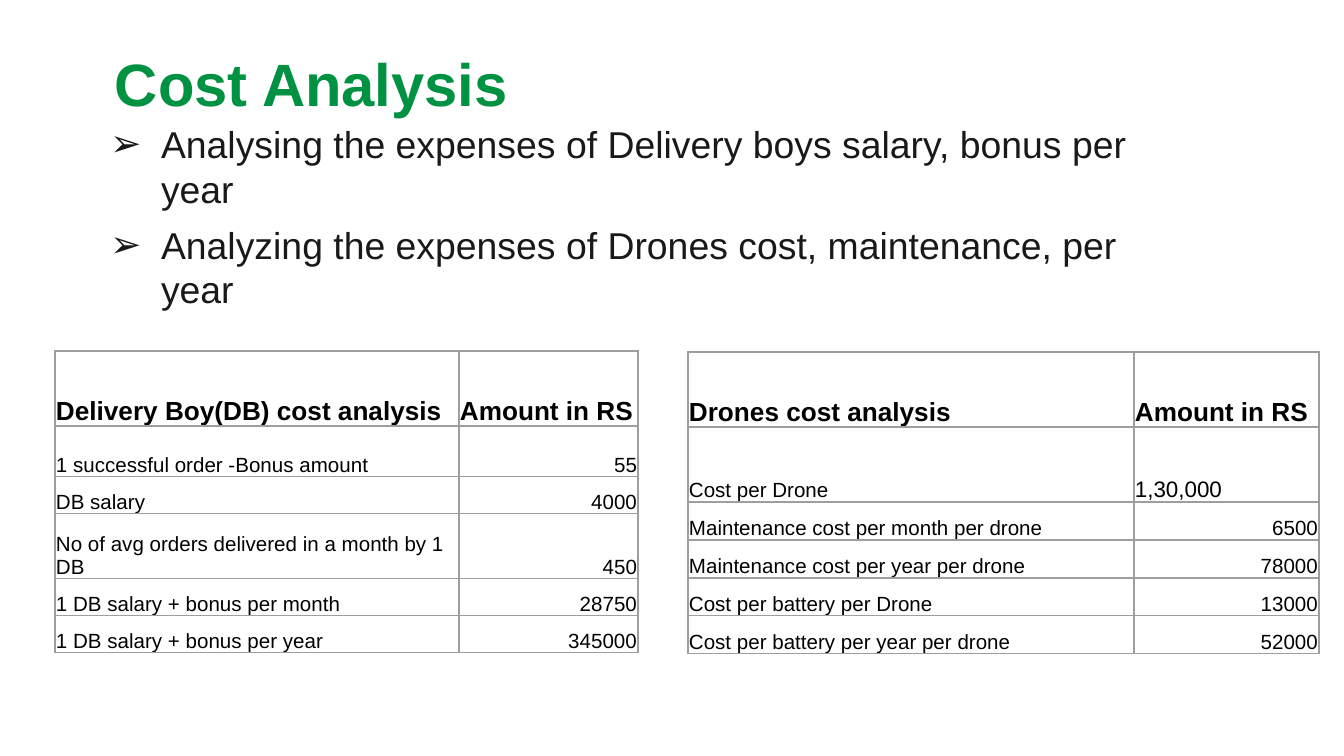
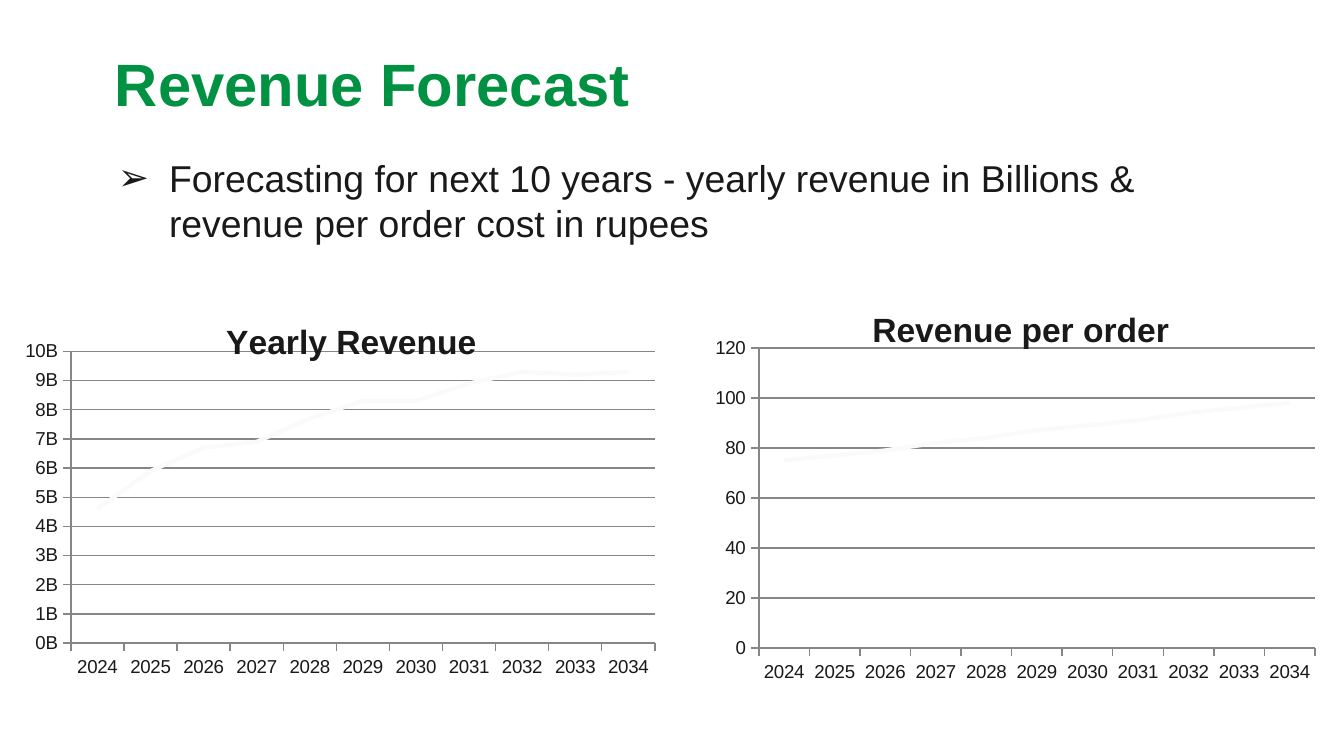
import pptx
import pptx.chart.data
import pptx.dml.color
import pptx.enum.chart
import pptx.enum.text
import pptx.oxml
import pptx.oxml.ns
import pptx.util
from lxml import etree

PX = 914400 / 134.4
FONT = "Arial"
COLORS = {
    "title": "009242",
    "text": "191919",
    "table": "000000",
    "border": "9E9E9E",
    "grid": "868686",
    "line": "FAFAFA",
}
YEARS = [str(year) for year in range(2024, 2035)]


def px(length):
    return pptx.util.Emu(round(length * PX))


def box(*lengths):
    return [px(length) for length in lengths]


def rgb(name):
    return pptx.dml.color.RGBColor.from_string(COLORS[name])


def style_font(font, size, color, bold=False):
    font.name = FONT
    font.size = pptx.util.Pt(size)
    font.bold = bold
    font.color.rgb = rgb(color)


def add_child(parent, tag, **attributes):
    child = etree.SubElement(parent, pptx.oxml.ns.qn(tag))
    for name, value in attributes.items():
        child.set(name, str(value))
    return child


def add_text_box(slide, place, anchor):
    text_frame = slide.shapes.add_textbox(*box(*place)).text_frame
    text_frame.word_wrap = True
    text_frame.vertical_anchor = anchor
    text_frame.margin_left = text_frame.margin_right = px(13)
    text_frame.margin_top = text_frame.margin_bottom = px(13)
    return text_frame


def add_title(slide, text):
    anchor = pptx.enum.text.MSO_ANCHOR.MIDDLE
    text_frame = add_text_box(slide, (102, 30, 1133, 105), anchor)
    text_frame.text = text
    style_font(text_frame.paragraphs[0].runs[0].font, 32, "title", True)


def add_bullets(slide, place, lines):
    text_frame = add_text_box(slide, place, pptx.enum.text.MSO_ANCHOR.TOP)
    text_frame.text = "\n".join(lines)
    for index, paragraph in enumerate(text_frame.paragraphs):
        if index:
            paragraph.space_before = pptx.util.Pt(6)
        properties = paragraph._p.get_or_add_pPr()
        properties.set("marL", str(px(51)))
        properties.set("indent", str(px(-51)))
        bullet_color = add_child(properties, "a:buClr")
        add_child(bullet_color, "a:srgbClr", val=COLORS["text"])
        add_child(properties, "a:buFont", typeface=FONT)
        add_child(properties, "a:buChar", char="➢")
        style_font(paragraph.runs[0].font, 20, "text")


def add_borders(cell):
    properties = cell._tc.get_or_add_tcPr()
    for side in ("a:lnL", "a:lnR", "a:lnT", "a:lnB"):
        line = add_child(properties, side, w=pptx.util.Pt(0.75))
        fill = add_child(line, "a:solidFill")
        add_child(fill, "a:srgbClr", val=COLORS["border"])


def fill_cell(cell, text, size, bold, right):
    cell.margin_left = cell.margin_right = cell.margin_top = px(1)
    cell.margin_bottom = 0
    cell.vertical_anchor = pptx.enum.text.MSO_ANCHOR.BOTTOM
    add_borders(cell)
    cell.fill.background()
    cell.text_frame.text = text
    paragraph = cell.text_frame.paragraphs[0]
    if right:
        paragraph.alignment = pptx.enum.text.PP_ALIGN.RIGHT
    style_font(paragraph.runs[0].font, size, "table", bold)


def add_cost_table(slide, left, top, widths, heights, rows):
    place = box(left, top, sum(widths), sum(heights))
    table = slide.shapes.add_table(len(rows), len(widths), *place).table
    table.first_row = table.horz_banding = False
    for column, width in zip(table.columns, widths):
        column.width = px(width)
    for row_index, (row, height) in enumerate(zip(rows, heights)):
        table.rows[row_index].height = px(height)
        for column_index, text in enumerate(row):
            header = row_index == 0
            grouped = "," in text
            size = 14 if header else 12 if grouped else 11
            right = column_index == 1 and not header and not grouped
            fill_cell(table.cell(row_index, column_index), text, size, header, right)


def set_layout(parent, **values):
    layout = parent.find(pptx.oxml.ns.qn("c:layout"))
    if layout is None:
        layout = etree.Element(pptx.oxml.ns.qn("c:layout"))
        parent.insert(0, layout)
    manual = add_child(layout, "c:manualLayout")
    if "w" in values:
        add_child(manual, "c:layoutTarget", val="inner")
    add_child(manual, "c:xMode", val="edge")
    add_child(manual, "c:yMode", val="edge")
    for name, value in values.items():
        add_child(manual, "c:" + name, val=value)


def style_axis(axis):
    axis.major_tick_mark = pptx.enum.chart.XL_TICK_MARK.OUTSIDE
    axis.minor_tick_mark = pptx.enum.chart.XL_TICK_MARK.NONE
    axis.format.line.color.rgb = rgb("grid")
    axis.format.line.width = pptx.util.Pt(0.75)
    style_font(axis.tick_labels.font, 10, "text")


def add_line_chart(slide, place, title, values, number_format, top, step, title_x, plot):
    data = pptx.chart.data.CategoryChartData()
    data.categories = YEARS
    data.add_series("Series 1", values)
    kind = pptx.enum.chart.XL_CHART_TYPE.LINE_STACKED
    chart = slide.shapes.add_chart(kind, *box(*place), data).chart
    style_font(chart.font, 10, "text")
    chart.has_legend = False

    chart.has_title = True
    title_frame = chart.chart_title.text_frame
    title_frame.text = title
    style_font(title_frame.paragraphs[0].runs[0].font, 18, "text", True)
    set_layout(chart.chart_title._element, x=title_x, y=0.06)
    plot_area = chart._chartSpace.chart.plotArea
    set_layout(plot_area, **dict(zip("xywh", plot)))

    style_axis(chart.category_axis)
    value_axis = chart.value_axis
    style_axis(value_axis)
    value_axis.minimum_scale = 0
    value_axis.maximum_scale = top
    value_axis.major_unit = step
    value_axis.tick_labels.number_format = number_format
    value_axis.tick_labels.number_format_is_linked = False
    value_axis.has_major_gridlines = True
    gridline = value_axis.major_gridlines.format.line
    gridline.color.rgb = rgb("grid")
    gridline.width = pptx.util.Pt(0.75)

    chart.plots[0].vary_by_categories = False
    series = chart.plots[0].series[0]
    series.smooth = False
    series.format.line.color.rgb = rgb("line")
    series.format.line.width = pptx.util.Pt(2.25)


def add_slide(presentation, title):
    slide = presentation.slides.add_slide(presentation.slide_layouts[6])
    add_title(slide, title)
    return slide


def build_cost_slide(presentation):
    slide = add_slide(presentation, "Cost Analysis")
    add_bullets(slide, (97, 108, 1114, 222), [
        "Analysing the expenses of Delivery boys salary, bonus per year",
        "Analyzing the expenses of Drones cost, maintenance, per year",
    ])
    add_cost_table(slide, 55, 351, (404, 179), (75, 51, 37, 65, 37, 37), [
        ("Delivery Boy(DB) cost analysis", "Amount in RS"),
        ("1 successful order -Bonus amount", "55"),
        ("DB salary", "4000"),
        ("No of avg orders delivered in a month by 1 DB", "450"),
        ("1 DB salary + bonus per month", "28750"),
        ("1 DB salary + bonus per year", "345000"),
    ])
    add_cost_table(slide, 688, 352, (446, 185), (75, 75, 38, 38, 38, 38), [
        ("Drones cost analysis", "Amount in RS"),
        ("Cost per Drone", "1,30,000"),
        ("Maintenance cost per month per drone", "6500"),
        ("Maintenance cost per year per drone", "78000"),
        ("Cost per battery per Drone", "13000"),
        ("Cost per battery per year per drone", "52000"),
    ])


def build_revenue_slide(presentation):
    slide = add_slide(presentation, "Revenue Forecast")
    add_bullets(slide, (105, 142, 1114, 133), [
        "Forecasting for next 10 years - yearly revenue in Billions & "
        "revenue per order cost in rupees",
    ])
    billions = (4.6, 5.9, 6.7, 6.9, 7.7, 8.3, 8.3, 8.9, 9.3, 9.2, 9.3)
    add_line_chart(
        slide, (19, 288, 649, 423), "Yearly Revenue",
        [round(value * 10**9) for value in billions],
        '0,,,"B"', 10**10, 10**9, 0.31, (0.08, 0.15, 0.9, 0.69),
    )
    add_line_chart(
        slide, (702, 276, 632, 423), "Revenue per order",
        (75, 77, 79, 82, 84, 87, 89, 91, 94, 96, 98),
        "0", 120, 20, 0.26, (0.09, 0.17, 0.88, 0.71),
    )


def main():
    presentation = pptx.Presentation()
    presentation.slide_width, presentation.slide_height = box(1344, 756)
    build_cost_slide(presentation)
    build_revenue_slide(presentation)
    presentation.save("out.pptx")


if __name__ == "__main__":
    main()
